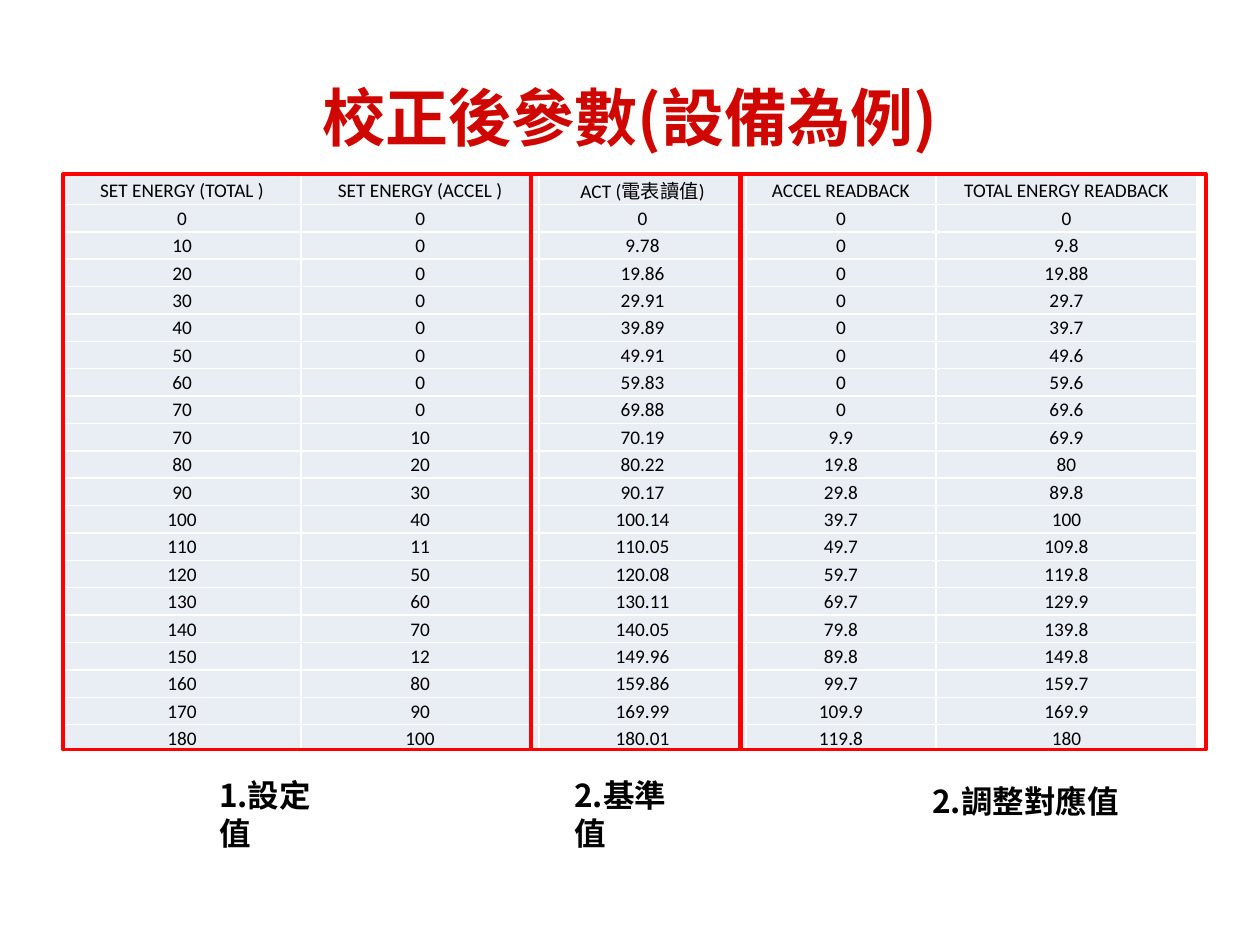
"""Build the slide of calibrated device parameters with its table and group frames."""
from lxml import etree
from pptx import Presentation, util as u
from pptx.dml.color import RGBColor
from pptx.enum import shapes, text
from pptx.oxml import ns

THEME = {
    "title": RGBColor(0xD0, 0x06, 0x00),
    "ink": RGBColor(0, 0, 0),
    "cell": RGBColor(0xE9, 0xED, 0xF4),
    "frame": RGBColor(0xFF, 0, 0),
    "grid": "FFFFFF",
    "head": 36,
    "label": 18,
    "body": 11,
    "cjk": "Noto Sans CJK SC",
    "latin": "Calibri",
}


def style(para, face, size, color, bold=False):
    for run in para.runs:
        font = run.font
        font.name, font.size, font.bold = face, u.Pt(size), bold
        font.color.rgb = color
        if face == THEME["cjk"]:
            east = etree.SubElement(run._r.get_or_add_rPr(), ns.qn("a:ea"))
            east.set("typeface", face)


def edge(cell):
    props = cell._tc.get_or_add_tcPr()
    for side in ("lnL", "lnR", "lnT", "lnB"):
        line = etree.SubElement(props, ns.qn(f"a:{side}"), w=str(u.Pt(1)))
        fill = etree.SubElement(line, ns.qn("a:solidFill"))
        etree.SubElement(fill, ns.qn("a:srgbClr"), val=THEME["grid"])


prs = Presentation()
prs.slide_width, prs.slide_height = u.Inches(10), u.Inches(7.5)
slide = prs.slides.add_slide(prs.slide_layouts[5])

title = slide.shapes.title
title.left, title.top = u.Inches(0.5), u.Inches(0.3)
title.width, title.height = u.Inches(9), u.Inches(1.25)
title.text_frame.text = "校正後參數(設備為例)"
title.text_frame.vertical_anchor = text.MSO_ANCHOR.MIDDLE
para = title.text_frame.paragraphs[0]
para.alignment = text.PP_ALIGN.CENTER
style(para, THEME["cjk"], THEME["head"], THEME["title"], True)

heads = ["SET ENERGY (TOTAL )", "SET ENERGY (ACCEL )", "ACT (電表讀值)",
         "ACCEL READBACK", "TOTAL ENERGY READBACK"]
total = [*range(0, 80, 10), *range(70, 190, 10)]
accel = [0] * 8 + [10, 20, 30, 40, 11, 50, 60, 70, 12, 80, 90, 100]
meter = [0, 9.78, 19.86, 29.91, 39.89, 49.91, 59.83, 69.88, 70.19, 80.22,
         90.17, 100.14, 110.05, 120.08, 130.11, 140.05, 149.96, 159.86,
         169.99, 180.01]
back = [0] * 8 + [9.9, 19.8, 29.8, 39.7, 49.7, 59.7, 69.7, 79.8, 89.8, 99.7,
                  109.9, 119.8]
whole = [0, 9.8, 19.88, 29.7, 39.7, 49.6, 59.6, 69.6, 69.9, 80, 89.8, 100,
         109.8, 119.8, 129.9, 139.8, 149.8, 159.7, 169.9, 180]
rows = [heads, *zip(total, accel, meter, back, whole)]

table = slide.shapes.add_table(
    len(rows), len(heads), u.Inches(0.5), u.Inches(1.39),
    u.Inches(9), u.Inches(4.57)).table
table.first_row = table.horz_banding = False
for col, wide in zip(table.columns, (1.89, 1.89, 1.64, 1.51, 2.07)):
    col.width = u.Inches(wide)
for line, row in zip(table.rows, rows):
    line.height = u.Inches(4.57 / len(rows))
    for cell, value in zip(line.cells, row):
        cell.text_frame.text = str(value)
        cell.margin_left = cell.margin_right = cell.margin_top = u.Inches(0.01)
        cell.margin_bottom = 0
        cell.vertical_anchor = text.MSO_ANCHOR.MIDDLE
        edge(cell)
        cell.fill.solid()
        cell.fill.fore_color.rgb = THEME["cell"]
        para = cell.text_frame.paragraphs[0]
        para.alignment = text.PP_ALIGN.CENTER
        style(para, THEME["latin"], THEME["body"], THEME["ink"])

for left, wide in ((0.5, 3.71), (4.22, 1.65), (5.88, 3.69)):
    frame = slide.shapes.add_shape(
        shapes.MSO_SHAPE.RECTANGLE, u.Inches(left), u.Inches(1.38),
        u.Inches(wide), u.Inches(4.57))
    frame.shadow.inherit = False
    frame.fill.background()
    frame.line.color.rgb = THEME["frame"]
    frame.line.width = u.Pt(2)

for words, left, top, wide in (("1.設定值", 1.64, 6.11, 1.17),
                               ("2.基準值", 4.46, 6.11, 1.17),
                               ("2.調整對應值", 7.3, 6.16, 1.68)):
    label = slide.shapes.add_textbox(
        u.Inches(left), u.Inches(top), u.Inches(wide), u.Inches(0.4))
    label.text_frame.word_wrap = True
    label.text_frame.text = words
    style(label.text_frame.paragraphs[0], THEME["cjk"], THEME["label"],
          THEME["ink"], True)

prs.save("out.pptx")
